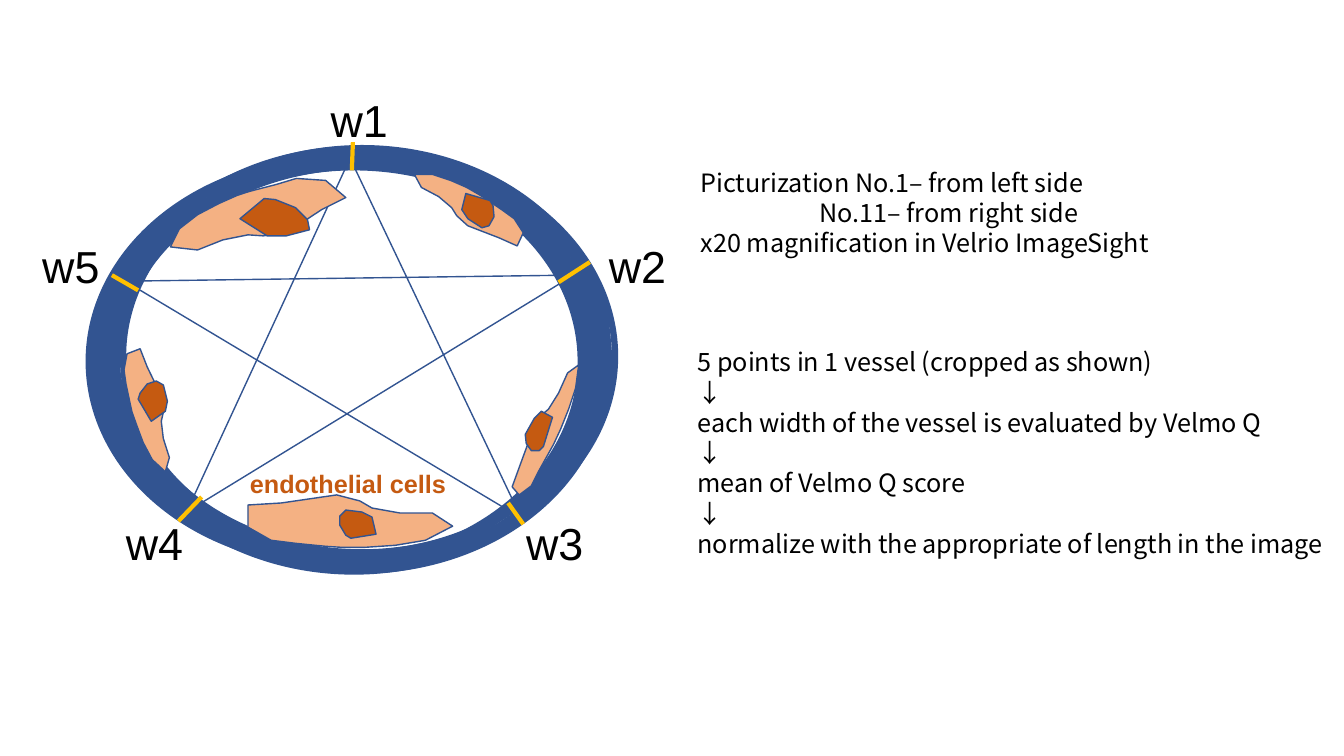
import pptx
import pptx.dml.color
import pptx.enum.shapes
import pptx.oxml
import pptx.oxml.ns
import pptx.util

PX = 9144
NAVY, GOLD, PEACH, RUST, BLACK = "325491", "FFC000", "F4B183", "C55A11", "000000"
SANS, CJK = "Arial", "Noto Sans CJK JP"


def color(hex_string):
    return pptx.dml.color.RGBColor.from_string(hex_string)


class Diagram:
    def __init__(self, slide):
        self.slide = slide
        self.shapes = slide.shapes

    def start_group(self):
        self.shapes = self.slide.shapes.add_group_shape().shapes

    def style(self, shape, line, width, fill=None):
        shape.shadow.inherit = False
        shape.line.color.rgb = color(line)
        shape.line.width = pptx.util.Pt(width)
        if fill:
            shape.fill.solid()
            shape.fill.fore_color.rgb = color(fill)
        else:
            shape.fill.background()

    def ring(self, left, top, width, height):
        shape = self.shapes.add_shape(
            pptx.enum.shapes.MSO_SHAPE.OVAL,
            left * PX, top * PX, width * PX, height * PX)
        self.style(shape, NAVY, 4.5)

    def outline(self, points, fill=None, close=True):
        builder = self.shapes.build_freeform(*points[0], scale=PX)
        builder.add_line_segments(points[1:], close=close)
        self.style(builder.convert_to_shape(), NAVY, 1, fill)

    def tick(self, start, end):
        connector = self.shapes.add_connector(
            pptx.enum.shapes.MSO_CONNECTOR.STRAIGHT,
            *(value * PX for value in start + end))
        connector.line.color.rgb = color(GOLD)
        connector.line.width = pptx.util.Pt(3)
        properties = connector._element.spPr
        properties.append(pptx.oxml.parse_xml(
            "<a:effectLst %s/>" % pptx.oxml.ns.nsdecls("a")))

    def text(self, box, lines, size, font, ink=BLACK, bold=False,
             line_points=None, indents=None):
        shape = self.shapes.add_textbox(*(value * PX for value in box))
        frame = shape.text_frame
        frame.word_wrap = True
        frame.text = "\n".join(lines)
        for index, paragraph in enumerate(frame.paragraphs):
            paragraph.font.size = pptx.util.Pt(size)
            paragraph.font.name = font
            paragraph.font.bold = bold
            paragraph.font.color.rgb = color(ink)
            if line_points:
                paragraph.line_spacing = pptx.util.Pt(line_points)
            if indents and index in indents:
                properties = paragraph._p.get_or_add_pPr()
                properties.set("marL", str(indents[index] * PX))


RING_CORNERS = [
    (88, 158), (98, 158), (93, 158), (104, 151), (101, 154), (122, 153), (115, 147),
    (106, 160), (110, 148), (107, 166), (116, 158), (114, 165), (110, 165)]

STAR = [(350, 151), (185, 508), (569, 273), (124, 279), (517, 514), (351, 165)]

WIDTH_TICKS = [
    ((350, 141), (349, 169)),
    ((585, 260), (554, 280)),
    ((200, 493), (177, 517)),
    ((504, 499), (519, 520)),
    ((111, 273), (137, 288))]

WIDTH_LABELS = {
    "w1": (318, 87), "w2": (594, 232), "w3": (512, 507),
    "w4": (115, 507), "w5": (32, 232)}

CELLS = [
    ([(429, 173), (411, 173), (418, 186), (435, 195), (448, 206), (453, 214),
      (464, 224), (495, 236), (513, 244), (519, 231), (510, 217), (499, 209),
      (483, 198), (475, 193), (463, 186), (447, 179)],
     [(486, 199), (462, 192), (458, 208), (464, 217), (478, 226), (485, 224),
      (490, 215), (489, 204)]),
    ([(178, 227), (169, 245), (196, 248), (221, 238), (246, 233), (261, 234),
      (284, 231), (319, 208), (343, 196), (323, 179), (294, 177), (274, 183),
      (247, 190), (235, 194), (217, 202), (196, 213)],
     [(262, 197), (238, 217), (265, 234), (284, 234), (307, 228), (305, 218),
      (293, 206), (273, 198)]),
    ([(151, 456), (164, 468), (168, 454), (162, 435), (160, 418), (162, 409),
      (161, 395), (146, 364), (139, 346), (126, 351), (123, 367), (125, 381),
      (129, 400), (131, 409), (136, 423), (142, 439)],
     [(137, 396), (150, 418), (164, 408), (166, 398), (162, 382), (155, 378),
      (146, 381), (139, 390)]),
    ([(422, 536), (449, 522), (429, 509), (397, 509), (369, 504), (357, 497),
      (334, 491), (279, 499), (246, 501), (246, 523), (269, 536), (293, 539),
      (323, 542), (339, 543), (362, 543), (392, 541)],
     [(348, 534), (373, 530), (369, 513), (359, 508), (343, 506), (337, 512),
      (337, 521), (343, 531)]),
    ([(571, 385), (574, 362), (563, 370), (554, 390), (544, 406), (538, 411),
      (530, 423), (516, 461), (508, 483), (515, 491), (527, 482), (534, 468),
      (544, 450), (549, 441), (556, 426), (564, 406)],
     [(539, 443), (548, 414), (537, 408), (530, 415), (521, 431), (522, 440),
      (527, 447), (535, 447)])]

STEPS = [
    "5 points in 1 vessel (cropped as shown)",
    "each width of the vessel is evaluated by Velmo Q",
    "mean of Velmo Q score",
    "normalize with the appropriate of length in the image"]

IMAGING = [
    "Picturization No.1– from left side",
    "No.11– from right side",
    "x20 magnification in Velrio ImageSight"]


def main():
    presentation = pptx.Presentation()
    presentation.slide_width = 1333 * PX
    presentation.slide_height = 750 * PX
    slide = presentation.slides.add_slide(presentation.slide_layouts[6])
    diagram = Diagram(slide)

    diagram.text((682, 339, 645, 222), "\n↓\n".join(STEPS).split("\n"),
                 18, CJK, line_points=21.6)
    diagram.text((685, 161, 486, 131), IMAGING, 18, CJK,
                 line_points=21.6, indents={1: 118})

    diagram.start_group()
    for left, top in RING_CORNERS:
        diagram.ring(left, top, 488, 401)
    diagram.outline(STAR, close=False)
    for start, end in WIDTH_TICKS:
        diagram.tick(start, end)
    for cell, nucleus in CELLS:
        diagram.outline(cell, PEACH)
        diagram.outline(nucleus, RUST)
    diagram.text((238, 460, 221, 40), ["endothelial cells"], 18, SANS, RUST, bold=True)
    for label, (left, top) in WIDTH_LABELS.items():
        diagram.text((left, top, 80, 64), [label], 32, SANS)

    presentation.save("out.pptx")


if __name__ == "__main__":
    main()
